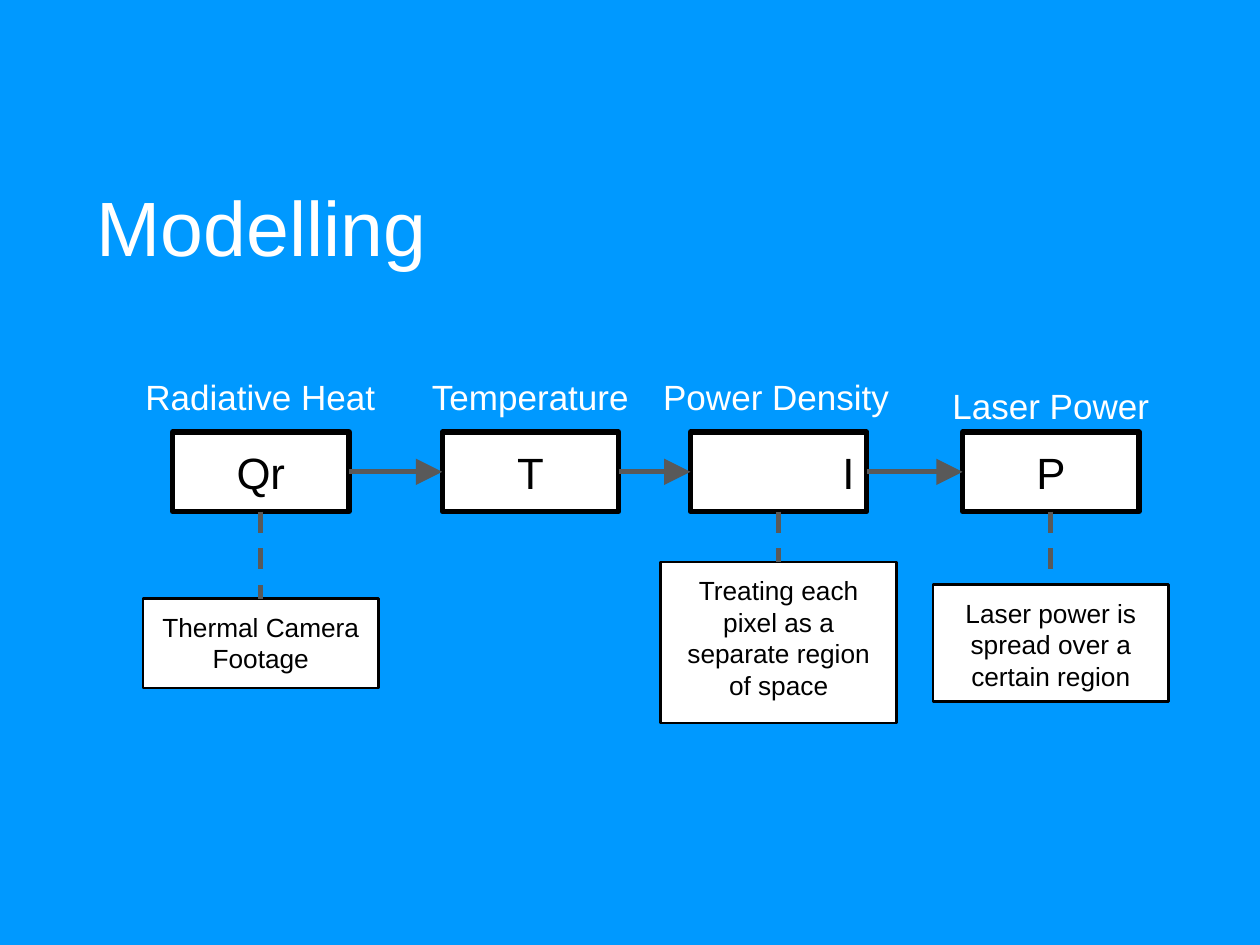
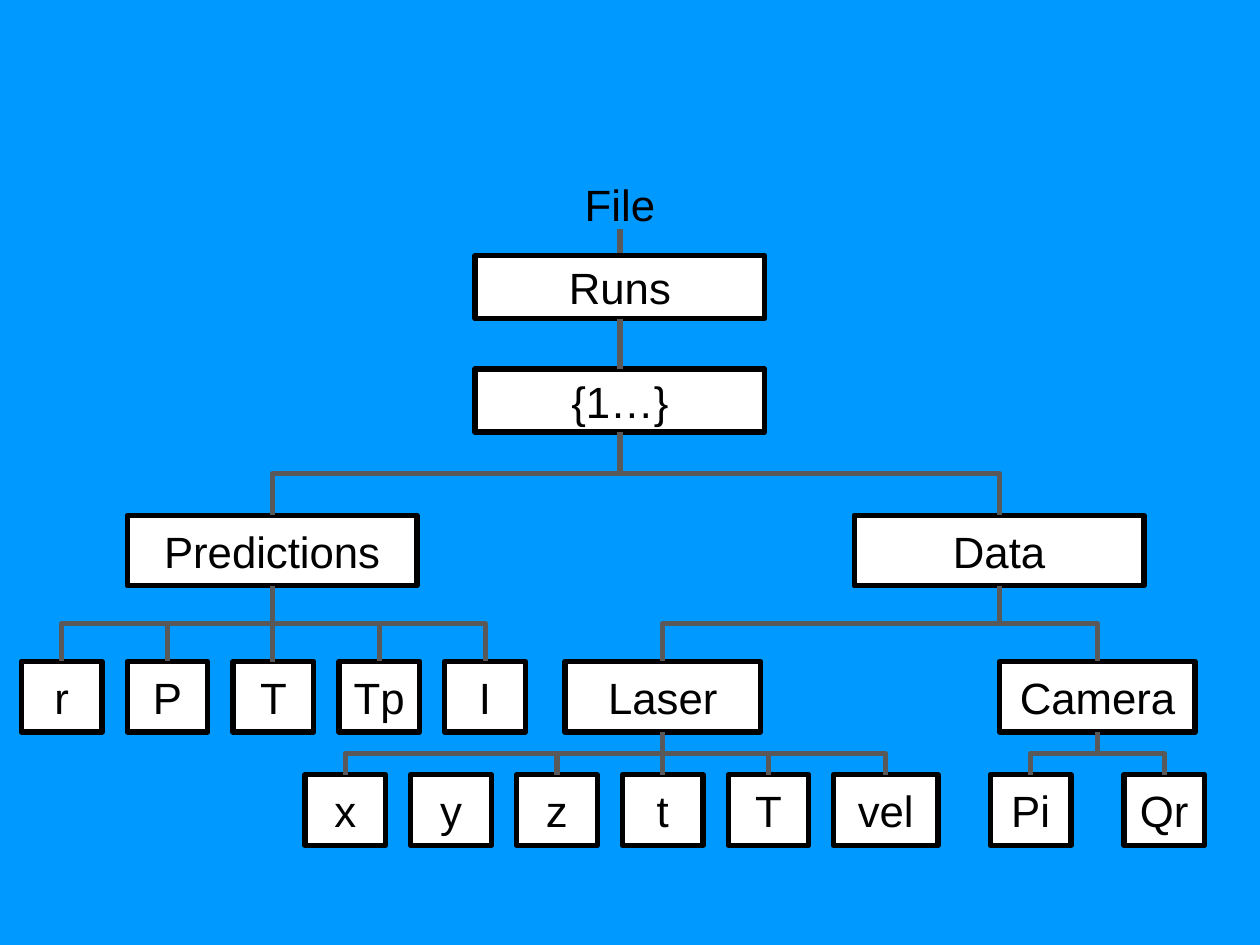
from lxml.etree import SubElement
from pptx import Presentation
from pptx.dml.color import RGBColor
from pptx.enum.dml import MSO_LINE
from pptx.enum.shapes import MSO_CONNECTOR, MSO_SHAPE
from pptx.enum.text import MSO_ANCHOR, PP_ALIGN
from pptx.oxml.ns import qn
from pptx.util import Inches, Pt

COLORS = {"back": "0099FF", "box": "FFFFFF", "ink": "000000",
          "light": "FFFFFF", "link": "595959"}
FONT = "Arial"
LEFT, CENTER, RIGHT = PP_ALIGN.LEFT, PP_ALIGN.CENTER, PP_ALIGN.RIGHT

# Modelling chain: symbol, its alignment, centre x, label, label alignment, label top
STAGES = [
    ("Qr", CENTER, 2.07, "Radiative Heat", LEFT, 2.88),
    ("T", CENTER, 4.21, "Temperature", CENTER, 2.88),
    ("I", RIGHT, 6.18, "Power Density", LEFT, 2.88),
    ("P", CENTER, 8.34, "Laser Power", CENTER, 2.95),
]
# Notes below a stage: stage index, text, top, height
NOTES = [
    (0, "Thermal Camera Footage", 4.75, 0.71),
    (2, "Treating each pixel as a separate region of space", 4.46, 1.28),
    (3, "Laser power is spread over a certain region", 4.64, 0.93),
]
STAGE_TOP, STAGE_W, STAGE_H = 3.43, 1.4, 0.63
LABEL_W, LABEL_H, NOTE_W = 2.03, 0.46, 1.87

# File tree: top and height of each level
LEVELS = [(2.03, 0.5), (2.93, 0.5), (4.09, 0.56), (5.25, 0.56), (6.15, 0.56)]
WIDE, MEDIUM, VEL, LEAF = 2.3, 1.55, 0.83, 0.64
PITCH = 0.84
ROOT_X = 4.92
# Groups of siblings: parent, level, [(key, text, centre x, width)]
BRANCHES = [
    (None, 0, [("runs", "Runs", ROOT_X, WIDE)]),
    ("runs", 1, [("run", "{1…}", ROOT_X, WIDE)]),
    ("run", 2, [("predictions", "Predictions", 2.16, WIDE),
                ("data", "Data", 7.93, WIDE)]),
    ("predictions", 3, [("p" + t, t, 0.49 + i * PITCH, LEAF)
                        for i, t in enumerate(["r", "P", "T", "Tp", "I"])]),
    ("data", 3, [("laser", "Laser", 5.26, MEDIUM),
                 ("camera", "Camera", 8.71, MEDIUM)]),
    ("laser", 4, [("l" + t, t, 2.74 + i * PITCH, LEAF)
                  for i, t in enumerate(["x", "y", "z", "t", "T"])]
     + [("vel", "vel", 7.03, VEL)]),
    ("camera", 4, [("Pi", "Pi", 8.18, LEAF), ("Qr", "Qr", 9.24, LEAF)]),
]
UNLINKED = {"ly"}


def rgb(name):
    return RGBColor.from_string(COLORS[name])


def new_slide(prs):
    s = prs.slides.add_slide(prs.slide_layouts[6])
    s.background.fill.solid()
    s.background.fill.fore_color.rgb = rgb("back")
    return s


def write(sp, text, size, color, align, anchor=MSO_ANCHOR.TOP, inset_y=0.1):
    tf = sp.text_frame
    tf.word_wrap = True
    tf.vertical_anchor = anchor
    tf.margin_left = tf.margin_right = Inches(0.1)
    tf.margin_top = tf.margin_bottom = Inches(inset_y)
    p = tf.paragraphs[0]
    p.text = text
    p.alignment = align
    r = p.runs[0]
    r.font.name, r.font.size = FONT, Pt(size)
    r.font.color.rgb = rgb(color)
    return p


def add_text(s, text, x, y, w, h, size, color, align=CENTER, inset_y=0.1):
    sp = s.shapes.add_textbox(Inches(x), Inches(y), Inches(w), Inches(h))
    return write(sp, text, size, color, align, inset_y=inset_y)


def add_box(s, text, cx, y, w, h, size=25, line=3, align=CENTER,
            anchor=MSO_ANCHOR.MIDDLE):
    """Outlined white box centred on cx."""
    sp = s.shapes.add_shape(MSO_SHAPE.RECTANGLE, Inches(cx - w / 2), Inches(y),
                            Inches(w), Inches(h))
    sp.shadow.inherit = False
    sp.fill.solid()
    sp.fill.fore_color.rgb = rgb("box")
    sp.line.color.rgb = rgb("ink")
    sp.line.width = Pt(line)
    write(sp, text, size, "ink", align, anchor)


def add_link(s, x1, y1, x2, y2, kind=MSO_CONNECTOR.STRAIGHT):
    c = s.shapes.add_connector(kind, Inches(x1), Inches(y1), Inches(x2), Inches(y2))
    c.line.color.rgb = rgb("link")
    c.line.width = Pt(3)
    SubElement(c._element.spPr, qn("a:effectLst"))
    return c


def add_arrow(s, x1, x2, y):
    c = add_link(s, x1, y, x2, y)
    SubElement(c.line._get_or_add_ln(), qn("a:tailEnd"),
               type="triangle", w="lg", len="lg")


def add_elbow(s, px, py, cx, cy):
    """Link going down, across and down: an elbow turned by a quarter."""
    mx, my = (px + cx) / 2, (py + cy) / 2
    half_w, half_h = abs(cx - px) / 2, (cy - py) / 2
    to_right = cx > px
    side = half_h if to_right else -half_h
    c = add_link(s, mx + side, my - half_w, mx - side, my + half_w,
                 MSO_CONNECTOR.ELBOW)
    degrees = 270 if to_right else 90
    c._element.spPr.find(qn("a:xfrm")).set("rot", str(degrees * 60000))


def modelling_slide(prs):
    s = new_slide(prs)
    title = add_text(s, "Modelling", 0.67, 1.5, 9, 0.83, 44, "light", LEFT, 0.05)
    title.line_spacing = 0.83
    for symbol, align, cx, label, label_align, label_top in STAGES:
        add_box(s, symbol, cx, STAGE_TOP, STAGE_W, STAGE_H, align=align)
        add_text(s, label, cx - LABEL_W / 2, label_top, LABEL_W, LABEL_H,
                 20, "light", label_align)
    for a, b in zip(STAGES, STAGES[1:]):
        add_arrow(s, a[2] + STAGE_W / 2, b[2] - STAGE_W / 2,
                  STAGE_TOP + STAGE_H / 2)
    for i, text, top, h in NOTES:
        cx = STAGES[i][2]
        add_box(s, text, cx, top, NOTE_W, h, 15, 1.5, anchor=MSO_ANCHOR.TOP)
        c = add_link(s, cx, STAGE_TOP + STAGE_H, cx, top)
        c.line.dash_style = MSO_LINE.DASH


def file_tree_slide(prs):
    s = new_slide(prs)
    add_text(s, "File", ROOT_X - 0.8, 1.31, 1.6, 0.5, 25, "ink")
    add_link(s, ROOT_X, 1.82, ROOT_X, LEVELS[0][0])
    bottoms, links = {}, []
    for parent, level, nodes in BRANCHES:
        top, h = LEVELS[level]
        for key, text, cx, w in nodes:
            add_box(s, text, cx, top, w, h)
            bottoms[key] = (cx, top + h)
            if parent and key not in UNLINKED:
                links.append((*bottoms[parent], cx, top))
    for px, py, cx, cy in links:
        if abs(px - cx) < 0.02:
            add_link(s, px, py, px, cy)
        else:
            add_elbow(s, px, py, cx, cy)


def main():
    prs = Presentation()
    prs.slide_width, prs.slide_height = Inches(10), Inches(7.5)
    modelling_slide(prs)
    file_tree_slide(prs)
    prs.save("out.pptx")


if __name__ == "__main__":
    main()
